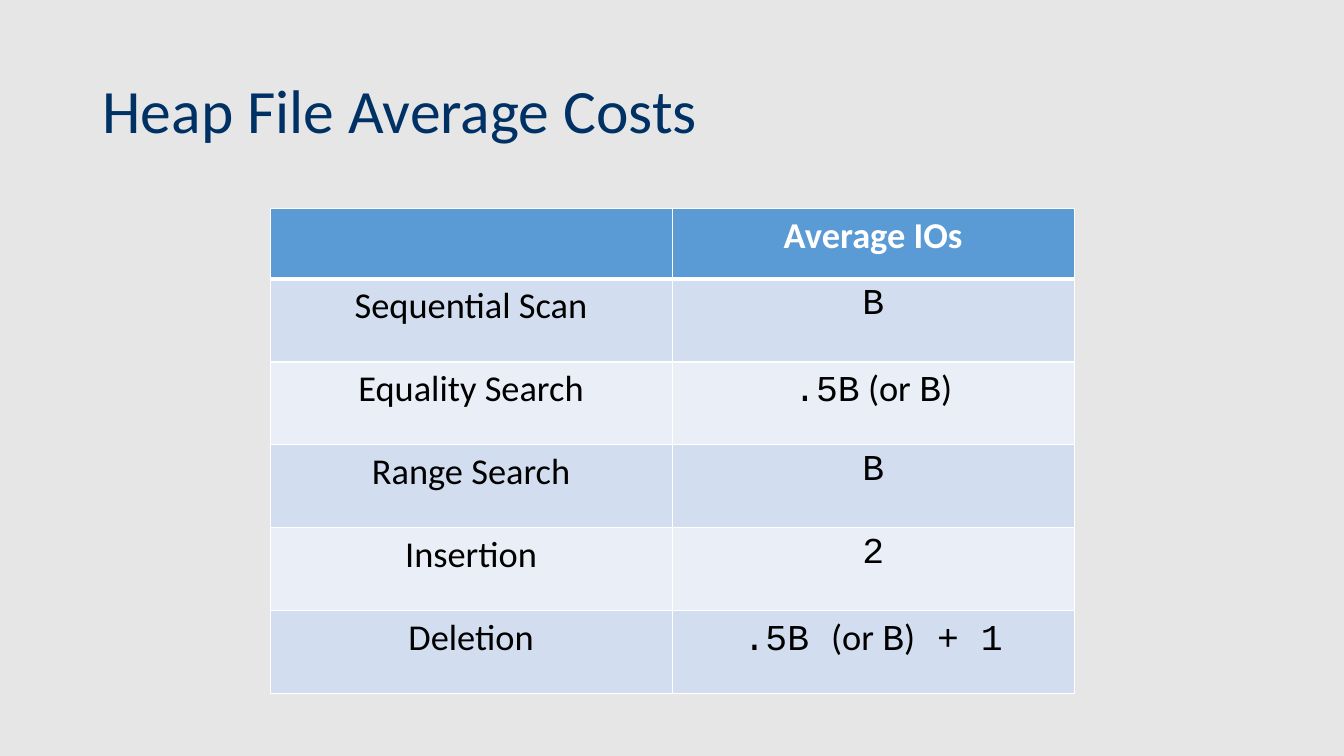
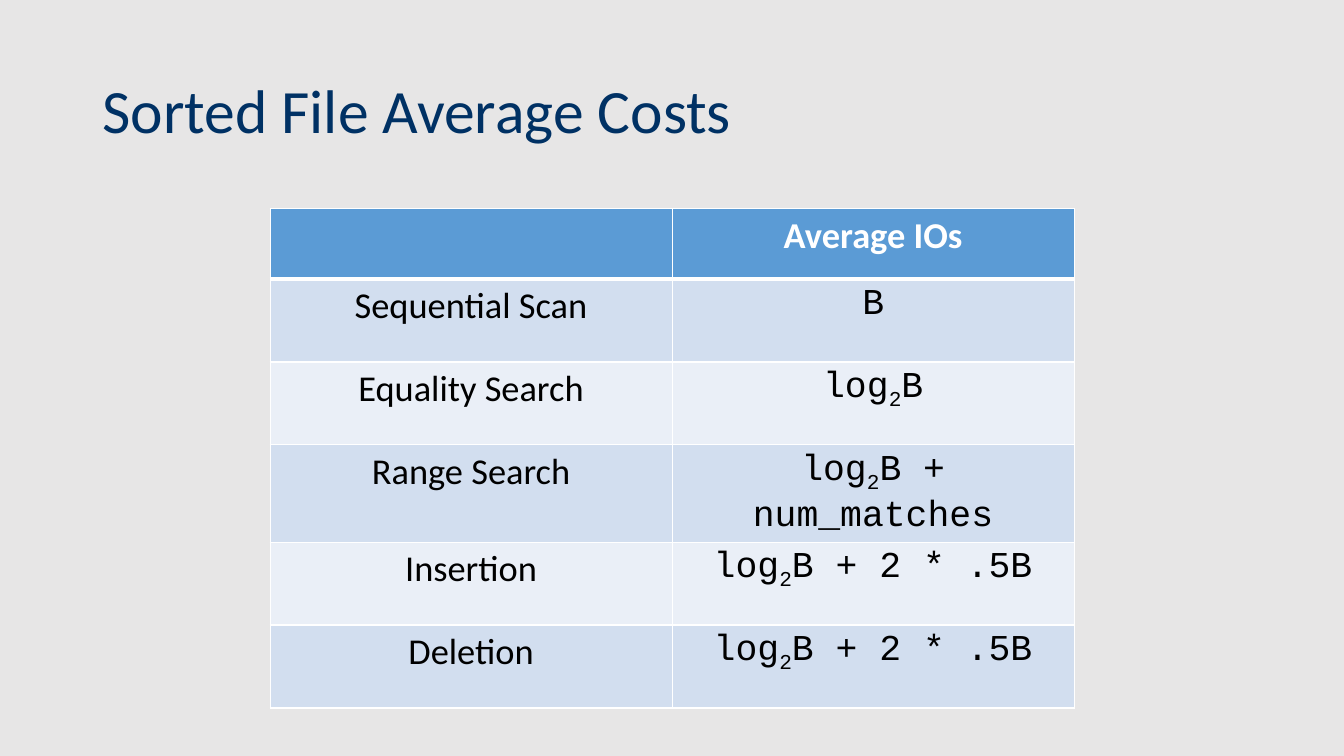
from dataclasses import dataclass
from lxml.etree import SubElement
from pptx import Presentation
from pptx.dml.color import RGBColor
from pptx.enum.text import MSO_ANCHOR, MSO_AUTO_SIZE, PP_ALIGN
from pptx.oxml.ns import qn
from pptx.util import Cm, Pt


@dataclass(frozen=True)
class Theme:
    back: str = "E7E6E6"
    title: str = "003164"
    head: str = "5B9BD5"
    odd: str = "D2DEEF"
    even: str = "EAEFF7"
    ink: str = "000000"
    white: str = "FFFFFF"
    prose: str = "Calibri"
    mono: str = "Courier New"
    large: int = 44
    body: int = 26


def color(code):
    return RGBColor.from_string(code)


def write(para, text, font, size, ink, bold=False, base=0):
    run = para.add_run()
    run.text = text
    run.font.name = font
    run.font.size = Pt(size)
    run.font.bold = bold
    run.font.color.rgb = color(ink)
    if base:
        run._r.get_or_add_rPr().set("baseline", str(base * 1000))


class Deck:
    def __init__(self, theme):
        self.theme = theme
        self.show = Presentation()
        self.show.slide_width = Cm(33.87)
        self.show.slide_height = Cm(19.05)
        fill = self.show.slide_master.background.fill
        fill.solid()
        fill.fore_color.rgb = color(theme.back)
        self.slide = None

    def start(self, title):
        look = self.theme
        self.slide = self.show.slides.add_slide(self.show.slide_layouts[5])
        box = self.slide.shapes.title
        box.left, box.top = Cm(2.33), Cm(1.01)
        box.width, box.height = Cm(29.21), Cm(3.68)
        frame = box.text_frame
        frame.word_wrap = True
        frame.auto_size = MSO_AUTO_SIZE.NONE
        frame.vertical_anchor = MSO_ANCHOR.MIDDLE
        para = frame.paragraphs[0]
        para.alignment = PP_ALIGN.LEFT
        para.line_spacing = 0.9
        write(para, title, look.prose, look.large, look.title)

    def border(self, cell, **widths):
        props = cell._tc.get_or_add_tcPr()
        for side in "LRTB":
            line = SubElement(props, qn(f"a:ln{side}"), w=str(Pt(widths.get(side, 1))))
            fill = SubElement(line, qn("a:solidFill"))
            SubElement(fill, qn("a:srgbClr"), val=self.theme.white)

    def cell(self, cell, parts, row):
        look = self.theme
        head = row == 0
        self.border(cell, B=3 if head else 1, T=3 if row == 1 else 1)
        cell.fill.solid()
        shade = look.head if head else (look.even, look.odd)[row % 2]
        cell.fill.fore_color.rgb = color(shade)
        para = cell.text_frame.paragraphs[0]
        para.alignment = PP_ALIGN.CENTER
        for kind, text in parts:
            write(para, text,
                  font=look.prose if kind == "prose" else look.mono,
                  size=look.body,
                  ink=look.white if head else look.ink,
                  bold=head,
                  base=-25 if kind == "sub" else 0)

    def table(self, rows):
        wide, first, rest = Cm(10.13), Cm(1.77), Cm(2.09)
        high = first + rest * (len(rows) - 1)
        grid = self.slide.shapes.add_table(
            len(rows), 2, Cm(6.81), Cm(5.26), wide * 2, high).table
        grid.horz_banding = False
        for col in grid.columns:
            col.width = wide
        for row, (name, cost) in enumerate(rows):
            grid.rows[row].height = rest if row else first
            label = [("prose", name)] if name else []
            self.cell(grid.cell(row, 0), label, row)
            self.cell(grid.cell(row, 1), cost, row)

    def costs(self, title, values):
        self.start(title)
        self.table([("", [("prose", "Average IOs")]), *zip(TASKS, values)])


def code(text):
    return [("code", text)]


def log(text):
    return [("code", "log"), ("sub", "2"), ("code", text)]


def either(lead):
    return [("prose", lead), ("code", "B"), ("prose", ")")]


TASKS = ["Sequential Scan", "Equality Search", "Range Search", "Insertion", "Deletion"]

deck = Deck(Theme())
deck.costs("Heap File Average Costs", [
    code("B"),
    code(".5B") + either(" (or "),
    code("B"),
    code("2"),
    code(".5B ") + either("(or ") + code(" + 1"),
])
deck.costs("Sorted File Average Costs", [
    code("B"),
    log("B"),
    log("B + num_matches"),
    log("B + 2 * .5B"),
    log("B + 2 * .5B"),
])
deck.show.save("out.pptx")
